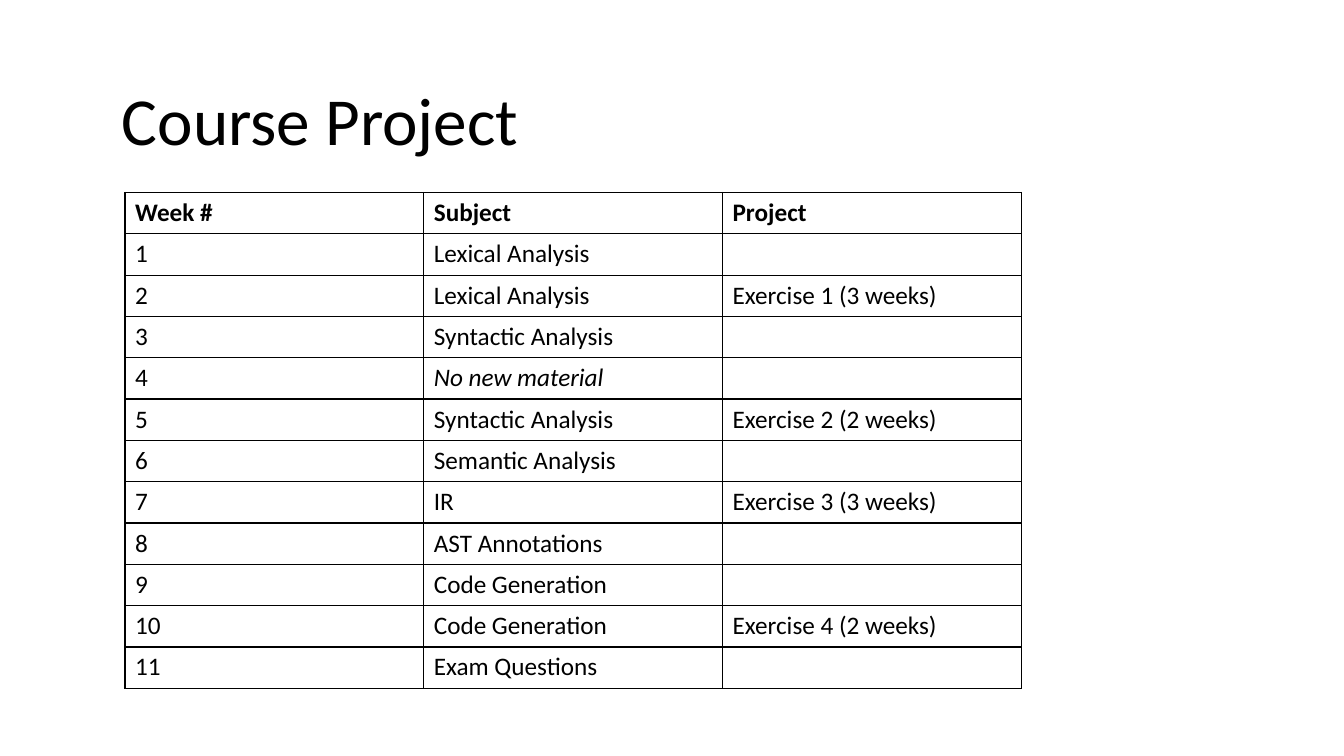
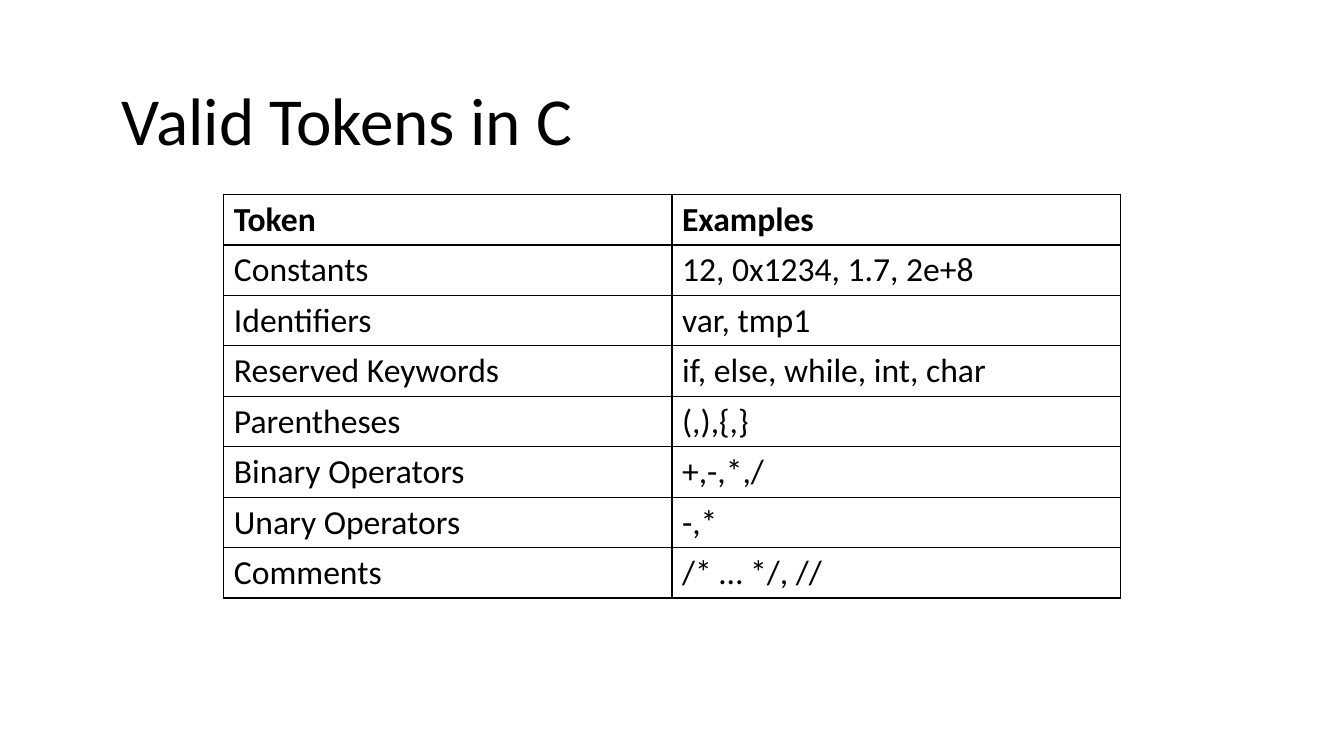
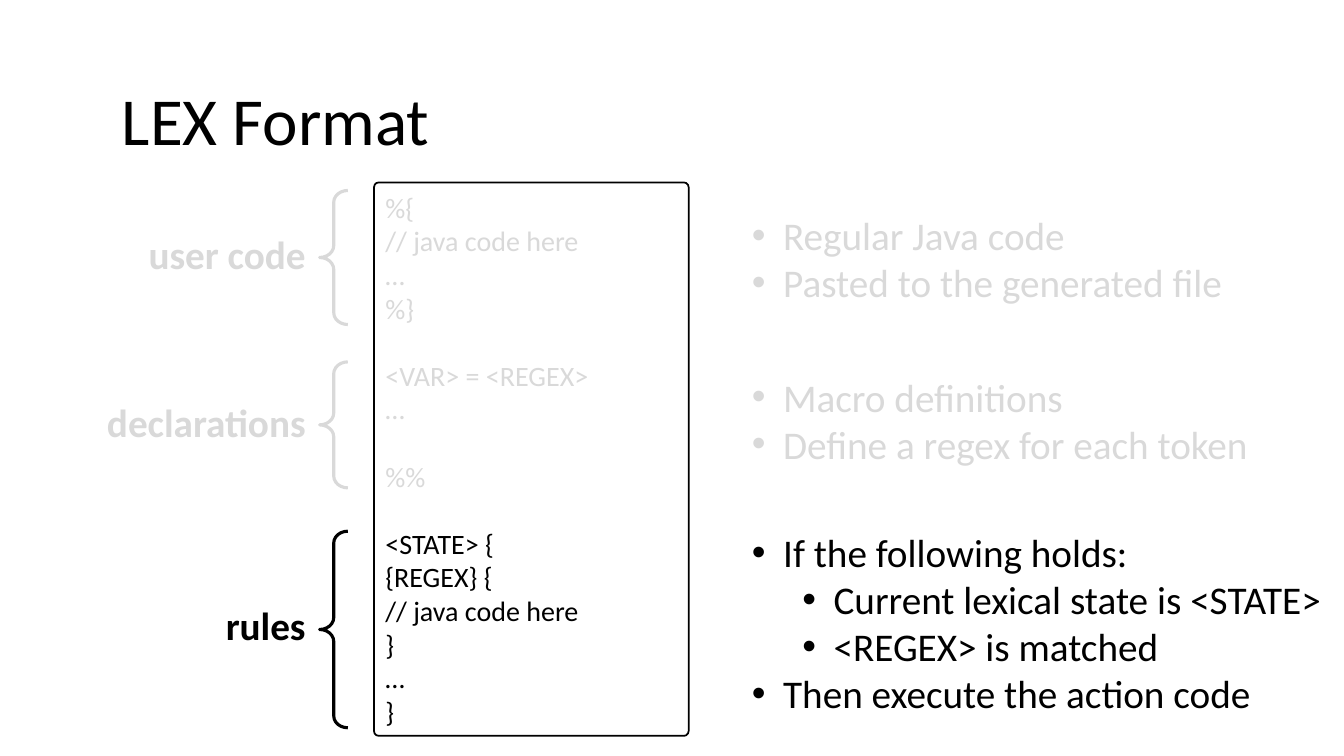
import pptx
import pptx.dml.color
import pptx.enum.shapes
import pptx.enum.text
import pptx.oxml
import pptx.oxml.ns
import pptx.util
from pptx.util import Inches

SHAPE = pptx.enum.shapes.MSO_SHAPE
ALIGN = pptx.enum.text.PP_ALIGN
ANCHOR = pptx.enum.text.MSO_ANCHOR
FONT = "Calibri"
COLORS = {"ink": "000000", "dim": "D9D9D9", "paper": "FFFFFF"}

WEEKS = [
    ("Week #", "Subject", "Project"),
    ("1", "Lexical Analysis", ""),
    ("2", "Lexical Analysis", "Exercise 1 (3 weeks)"),
    ("3", "Syntactic Analysis", ""),
    ("4", "No new material", ""),
    ("5", "Syntactic Analysis", "Exercise 2 (2 weeks)"),
    ("6", "Semantic Analysis", ""),
    ("7", "IR", "Exercise 3 (3 weeks)"),
    ("8", "AST Annotations", ""),
    ("9", "Code Generation", ""),
    ("10", "Code Generation", "Exercise 4 (2 weeks)"),
    ("11", "Exam Questions", ""),
]

TOKENS = [
    ("Token", "Examples"),
    ("Constants", "12, 0x1234, 1.7, 2e+8"),
    ("Identifiers", "var, tmp1"),
    ("Reserved Keywords", "if, else, while, int, char"),
    ("Parentheses", "(,),{,}"),
    ("Binary Operators", "+,-,*,/"),
    ("Unary Operators", "-,*"),
    ("Comments", "/* … */, //"),
]

# Code groups: color and lines; a gap of one line parts the groups
CODE = [
    ("dim", ["%{", "// java code here", "…", "%}"]),
    ("dim", ["<VAR> = <REGEX>", "…"]),
    ("dim", ["%%"]),
    ("ink", ["<STATE> {", "{REGEX} {", "// java code here", "}", "…", "}"]),
]

# Parts: label, color, label top, brace top and height,
# notes top and height, notes as (level, text)
PARTS = [
    ("user code", "dim", 2.24, 1.89, 1.33, 2.05, 1.04,
     [(0, "Regular Java code"), (0, "Pasted to the generated file")]),
    ("declarations", "dim", 3.9, 3.59, 1.25, 3.65, 1.04,
     [(0, "Macro definitions"), (0, "Define a regex for each token")]),
    ("rules", "ink", 5.92, 5.27, 1.95, 5.19, 1.99,
     [(0, "If the following holds:"),
      (1, "Current lexical state is <STATE>"),
      (1, "<REGEX> is matched"),
      (0, "Then execute the action code")]),
]


def rgb(name):
    return pptx.dml.color.RGBColor.from_string(COLORS[name])


def style(para, size, color="ink", bold=False, italic=False):
    font = para.font
    font.name, font.size = FONT, pptx.util.Pt(size)
    font.bold, font.italic = bold, italic
    font.color.rgb = rgb(color)


def fill_text(frame, lines):
    """Write one paragraph per line and return the paragraphs."""
    frame.text = "\n".join(lines)
    return frame.paragraphs


def add_text(slide, box, lines, size, color="ink", bold=False, align=ALIGN.LEFT):
    frame = slide.shapes.add_textbox(*map(Inches, box)).text_frame
    frame.word_wrap = True
    paras = fill_text(frame, lines)
    for para in paras:
        style(para, size, color, bold)
        para.alignment = align
    return paras


def add_slide(deck, title):
    slide = deck.slides.add_slide(deck.slide_layouts[6])
    add_text(slide, (1.11, 0.73, 11.09, 0.91), [title], 48)
    return slide


def add_border(cell):
    props = cell._tc.get_or_add_tcPr()
    for spot, side in enumerate(("lnL", "lnR", "lnT", "lnB")):
        props.insert(spot, pptx.oxml.parse_xml(
            f'<a:{side} {pptx.oxml.ns.nsdecls("a")} w="12700"><a:solidFill>'
            f'<a:srgbClr val="{COLORS["ink"]}"/></a:solidFill></a:{side}>'))


def add_grid(slide, left, top, width, tall, rows, size, slant=()):
    """Add a table with a bold head row and thin lines."""
    count = len(rows[0])
    grid = slide.shapes.add_table(
        len(rows), count, Inches(left), Inches(top),
        Inches(width), Inches(tall * len(rows))).table
    grid.first_row = grid.horz_banding = False
    for r, row in enumerate(rows):
        for c, text in enumerate(row):
            cell = grid.cell(r, c)
            cell.text = text
            style(cell.text_frame.paragraphs[0], size,
                  bold=r == 0, italic=text in slant)
            cell.fill.solid()
            cell.fill.fore_color.rgb = rgb("paper")
            add_border(cell)


def add_shape(slide, kind, box, color, width, bend):
    shape = slide.shapes.add_shape(kind, *map(Inches, box))
    shape.shadow.inherit = False
    shape.adjustments[0] = bend
    shape.fill.background()
    shape.line.color.rgb = rgb(color)
    shape.line.width = pptx.util.Pt(width)
    return shape


def add_code(slide, box):
    shape = add_shape(slide, SHAPE.ROUNDED_RECTANGLE, box, "ink", 1.25, 0.015)
    frame = shape.text_frame
    frame.vertical_anchor = ANCHOR.MIDDLE
    paras = iter(fill_text(frame, [line for _, group in CODE for line in group]))
    for g, (color, group) in enumerate(CODE):
        for n, _ in enumerate(group):
            para = next(paras)
            style(para, 20, color)
            para.alignment = ALIGN.LEFT
            if g and n == 0:
                para.space_before = pptx.util.Pt(24)


def add_notes(slide, box, notes, color):
    paras = add_text(slide, box, [text for _, text in notes], 28, color)
    for para, (level, _) in zip(paras, notes):
        para.level = level
        props = para._p.get_or_add_pPr()
        props.set("marL", str(Inches(0.31 + 0.5 * level)))
        props.set("indent", str(Inches(-0.31)))
        for spot, mark in enumerate(('buFont typeface="Arial"', 'buChar char="•"')):
            props.insert(spot, pptx.oxml.parse_xml(
                f'<a:{mark} {pptx.oxml.ns.nsdecls("a")}/>'))


def main():
    deck = pptx.Presentation()
    deck.slide_width, deck.slide_height = Inches(13.33), Inches(7.5)

    # Weekly plan
    slide = add_slide(deck, "Course Project")
    add_grid(slide, 1.24, 1.91, 8.89, 0.41, WEEKS, 18, ["No new material"])

    # Token kinds
    slide = add_slide(deck, "Valid Tokens in C")
    add_grid(slide, 2.22, 1.93, 8.89, 0.5, TOKENS, 24)

    # File layout: labels, braces, code and notes
    slide = add_slide(deck, "LEX Format")
    add_code(slide, (3.71, 1.81, 3.12, 5.49))
    for label, color, top, brace, high, start, tall, notes in PARTS:
        add_text(slide, (0.9, top, 2.23, 0.57), [label], 28, color, True, ALIGN.RIGHT)
        add_shape(slide, SHAPE.LEFT_BRACE, (3.17, brace, 0.28, high), color, 2.25, 0.42)
        add_notes(slide, (7.36, start, 7.13, tall), notes, color)

    deck.save("out.pptx")


if __name__ == "__main__":
    main()
